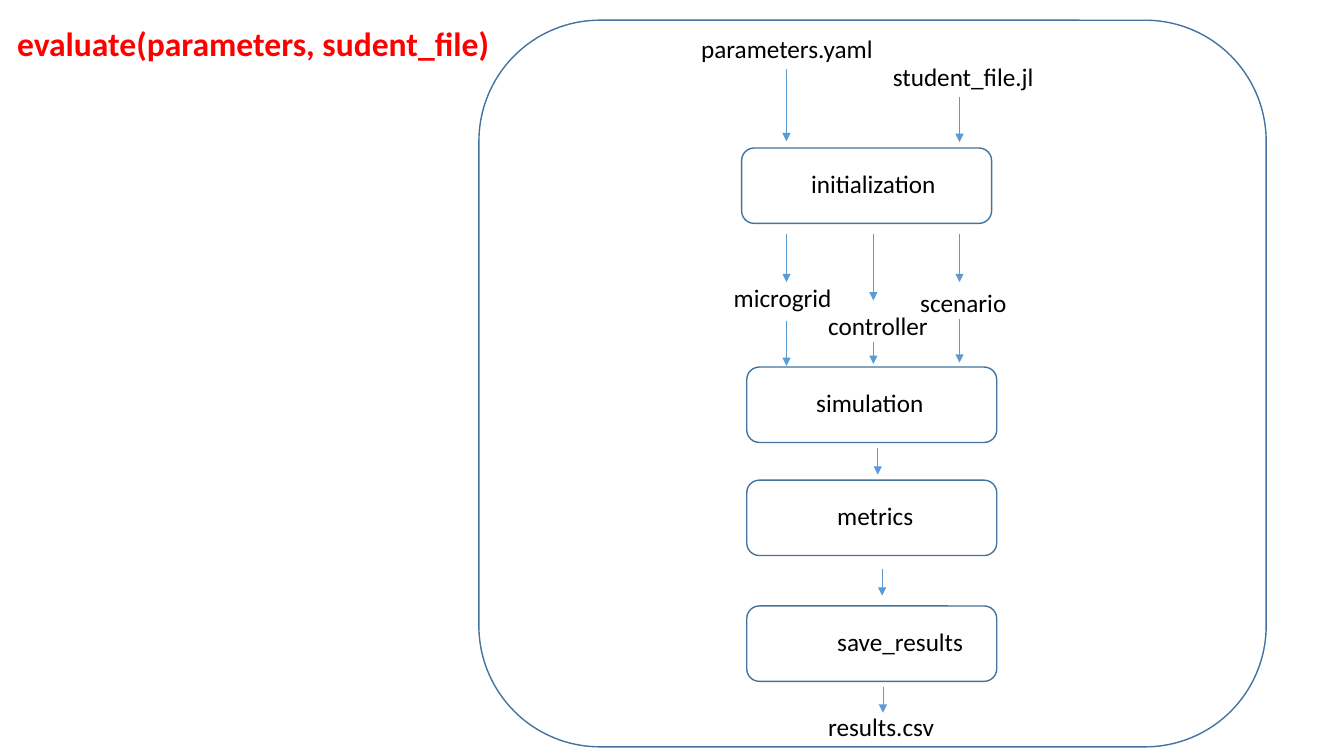
from dataclasses import dataclass

from lxml import etree
from pptx import Presentation
from pptx import util as u
from pptx.dml import color
from pptx.enum import shapes, text
from pptx.oxml import ns


@dataclass(frozen=True)
class Theme:
    font: str = "Calibri"
    ink: str = "000000"
    accent: str = "FF0000"
    outline: str = "43739E"
    arrow: str = "5B9BD5"
    title_size: float = 24
    label_size: float = 18
    outline_width: float = 1
    arrow_width: float = 0.5


class Diagram:
    def __init__(self, slide, theme):
        self.slide = slide
        self.theme = theme

    def frame(self, left, top, width, height):
        box = self.slide.shapes.add_shape(
            shapes.MSO_SHAPE.ROUNDED_RECTANGLE,
            u.Cm(left), u.Cm(top), u.Cm(width), u.Cm(height))
        box.shadow.inherit = False
        box.fill.background()
        box.line.color.rgb = color.RGBColor.from_string(self.theme.outline)
        box.line.width = u.Pt(self.theme.outline_width)

    def text_box(self, wording, left, top, width, height, size, ink, bold=False):
        box = self.slide.shapes.add_textbox(
            u.Cm(left), u.Cm(top), u.Cm(width), u.Cm(height))
        frame = box.text_frame
        frame.text = wording
        frame.word_wrap = True
        frame.auto_size = text.MSO_AUTO_SIZE.SHAPE_TO_FIT_TEXT
        span = frame.paragraphs[0].runs[0]
        span.font.name = self.theme.font
        span.font.size = u.Pt(size)
        span.font.bold = bold
        span.font.color.rgb = color.RGBColor.from_string(ink)

    def title(self, wording, left, top, width):
        self.text_box(wording, left, top, width, 1.27,
                      self.theme.title_size, self.theme.accent, bold=True)

    def label(self, wording, left, top, width):
        self.text_box(wording, left, top, width, 1.02,
                      self.theme.label_size, self.theme.ink)

    def stage(self, wording, left, top, indent):
        self.frame(left, top, 6.3, 1.9)
        self.label(wording, left + indent, top + 0.38, 3.96)

    def arrow(self, x, top, bottom):
        connector = self.slide.shapes.add_connector(
            shapes.MSO_CONNECTOR.STRAIGHT,
            u.Cm(x), u.Cm(top), u.Cm(x), u.Cm(bottom))
        connector.line.color.rgb = color.RGBColor.from_string(self.theme.arrow)
        connector.line.width = u.Pt(self.theme.arrow_width)
        properties = connector._element.spPr
        outline = properties.find(ns.qn("a:ln"))
        etree.SubElement(outline, ns.qn("a:tailEnd"), type="triangle")
        etree.SubElement(properties, ns.qn("a:effectLst"))


STAGES = [
    ("initialization", 18.69, 3.73, 1.5),
    ("simulation", 18.82, 9.25, 1.5),
    ("metrics", 18.82, 12.1, 2.03),
    ("save_results", 18.82, 15.27, 2.03),
]

FILES_AND_OBJECTS = [
    ("parameters.yaml", 17.42, 0.71, 6.15),
    ("student_file.jl", 22.25, 1.42, 6.15),
    ("microgrid", 18.24, 6.99, 3.1),
    ("controller", 20.62, 7.7, 3.1),
    ("scenario", 22.94, 7.11, 2.92),
    ("results.csv", 20.62, 17.81, 3.91),
]

MICROGRID_X, CONTROLLER_X, SCENARIO_X = 19.82, 22.01, 24.18
OBJECTS_TOP = 5.89
ARROWS = [
    (MICROGRID_X, 1.75, 3.56),
    (SCENARIO_X, 2.44, 3.58),
    (MICROGRID_X, OBJECTS_TOP, 7.11),
    (CONTROLLER_X, OBJECTS_TOP, 7.57),
    (SCENARIO_X, OBJECTS_TOP, 7.11),
    (MICROGRID_X, 8.08, 9.22),
    (CONTROLLER_X, 8.61, 9.17),
    (SCENARIO_X, 8.03, 9.14),
    (22.12, 11.3, 11.96),
    (22.23, 14.33, 15.01),
    (22.25, 17.3, 17.96),
]

deck = Presentation()
deck.slide_width = u.Cm(33.87)
deck.slide_height = u.Cm(19.05)
page = deck.slides.add_slide(deck.slide_layouts[6])
diagram = Diagram(page, Theme())

diagram.frame(12.07, 0.51, 19.84, 18.31)
for stage in STAGES:
    diagram.stage(*stage)
for label in FILES_AND_OBJECTS:
    diagram.label(*label)
for arrow in ARROWS:
    diagram.arrow(*arrow)
diagram.title("evaluate(parameters, sudent_file)", 0.18, 0.46, 12.9)

deck.save("out.pptx")
